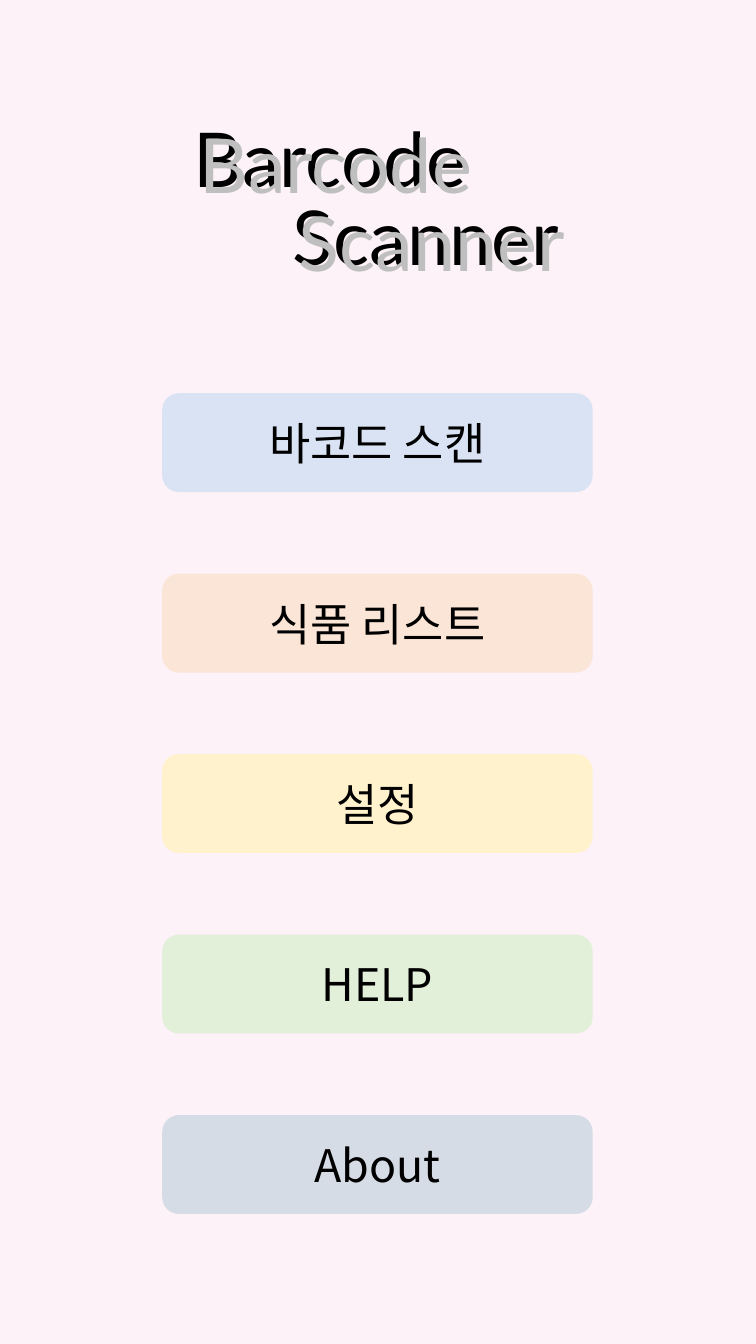
from dataclasses import dataclass

from lxml import etree
from pptx import Presentation
from pptx.dml.color import RGBColor
from pptx.enum.shapes import MSO_SHAPE
from pptx.enum.text import MSO_ANCHOR, MSO_AUTO_SIZE, PP_ALIGN
from pptx.oxml.ns import qn
from pptx.util import Pt

RECTANGLE = MSO_SHAPE.RECTANGLE
ROUNDED = MSO_SHAPE.ROUNDED_RECTANGLE
CENTER = PP_ALIGN.CENTER
TOP, MIDDLE = MSO_ANCHOR.TOP, MSO_ANCHOR.MIDDLE
FIT_SHAPE = MSO_AUTO_SIZE.SHAPE_TO_FIT_TEXT

EMU_PER_PX = 9144  # 100 px to the inch
PAGE_WIDTH, PAGE_HEIGHT = 750, 1333
TITLE_ONLY_LAYOUT = 5


@dataclass(frozen=True)
class Theme:
    background: str = "FCF2F7"
    text: str = "000000"
    title_overlay: str = "BFBFBF"
    blue: str = "DAE3F3"
    orange: str = "FBE5D6"
    yellow: str = "FFF2CC"
    green: str = "E2F0D9"
    slate: str = "D6DCE5"
    title_font: str = "Lato"
    button_font: str = "Noto Sans CJK KR"
    title_size: int = 54
    button_size: int = 32


class MenuPage:
    def __init__(self, page, theme):
        self.page = page
        self.theme = theme

    def place(self, *lengths):
        return [length * EMU_PER_PX for length in lengths]

    def block(self, kind, area, fill):
        box = self.page.shapes.add_shape(kind, *self.place(*area))
        box.shadow.inherit = False
        box.fill.solid()
        box.fill.fore_color.rgb = RGBColor.from_string(fill)
        box.line.fill.background()
        return box

    def set_text(self, box, text, font, size, color, anchor):
        frame = box.text_frame
        frame.word_wrap = True
        frame.vertical_anchor = anchor
        para = frame.paragraphs[0]
        para.text = text
        para.alignment = CENTER
        para.font.name = font
        para.font.size = Pt(size)
        para.font.color.rgb = RGBColor.from_string(color)
        # Hangul takes its typeface from the East Asian font
        properties = para._p.pPr.find(qn("a:defRPr"))
        etree.SubElement(properties, qn("a:ea")).set("typeface", font)

    def button(self, text, area, fill):
        box = self.block(ROUNDED, area, fill)
        self.set_text(box, text, self.theme.button_font,
                      self.theme.button_size, self.theme.text, MIDDLE)

    def title_word(self, box, text, area, color):
        box.left, box.top, box.width, box.height = self.place(*area)
        self.set_text(box, text, self.theme.title_font,
                      self.theme.title_size, color, TOP)
        box.text_frame.auto_size = FIT_SHAPE

    def title(self, text, area, color):
        box = self.page.shapes.title
        self.page.shapes._spTree.append(box._element)  # bring to front
        self.title_word(box, text, area, color)

    def label(self, text, area, color):
        box = self.page.shapes.add_textbox(*self.place(*area))
        self.title_word(box, text, area, color)


def main():
    theme = Theme()
    deck = Presentation()
    deck.slide_width = PAGE_WIDTH * EMU_PER_PX
    deck.slide_height = PAGE_HEIGHT * EMU_PER_PX
    page = deck.slides.add_slide(deck.slide_layouts[TITLE_ONLY_LAYOUT])
    menu = MenuPage(page, theme)

    # Background
    menu.block(RECTANGLE, (0, 0, PAGE_WIDTH, PAGE_HEIGHT), theme.background)

    # Menu buttons
    buttons = [
        ("바코드 스캔", theme.blue),
        ("식품 리스트", theme.orange),
        ("설정", theme.yellow),
        ("HELP", theme.green),
        ("About", theme.slate),
    ]
    first_top, pitch = 390, 179
    for row, (text, fill) in enumerate(buttons):
        menu.button(text, (161, first_top + row * pitch, 427, 98), fill)

    # Title in black, with a shifted grey layer over it
    width, height, shift = 427, 101, 6
    words = [("Barcode", 114, 106), ("Scanner", 209, 183)]
    (first, left, top), (second, next_left, next_top) = words
    menu.title(first, (left, top, width, height), theme.text)
    menu.label(second, (next_left, next_top, width, height), theme.text)
    for word, left, top in words:
        menu.label(word, (left + shift, top + shift, width, height),
                   theme.title_overlay)

    deck.save("out.pptx")


if __name__ == "__main__":
    main()
